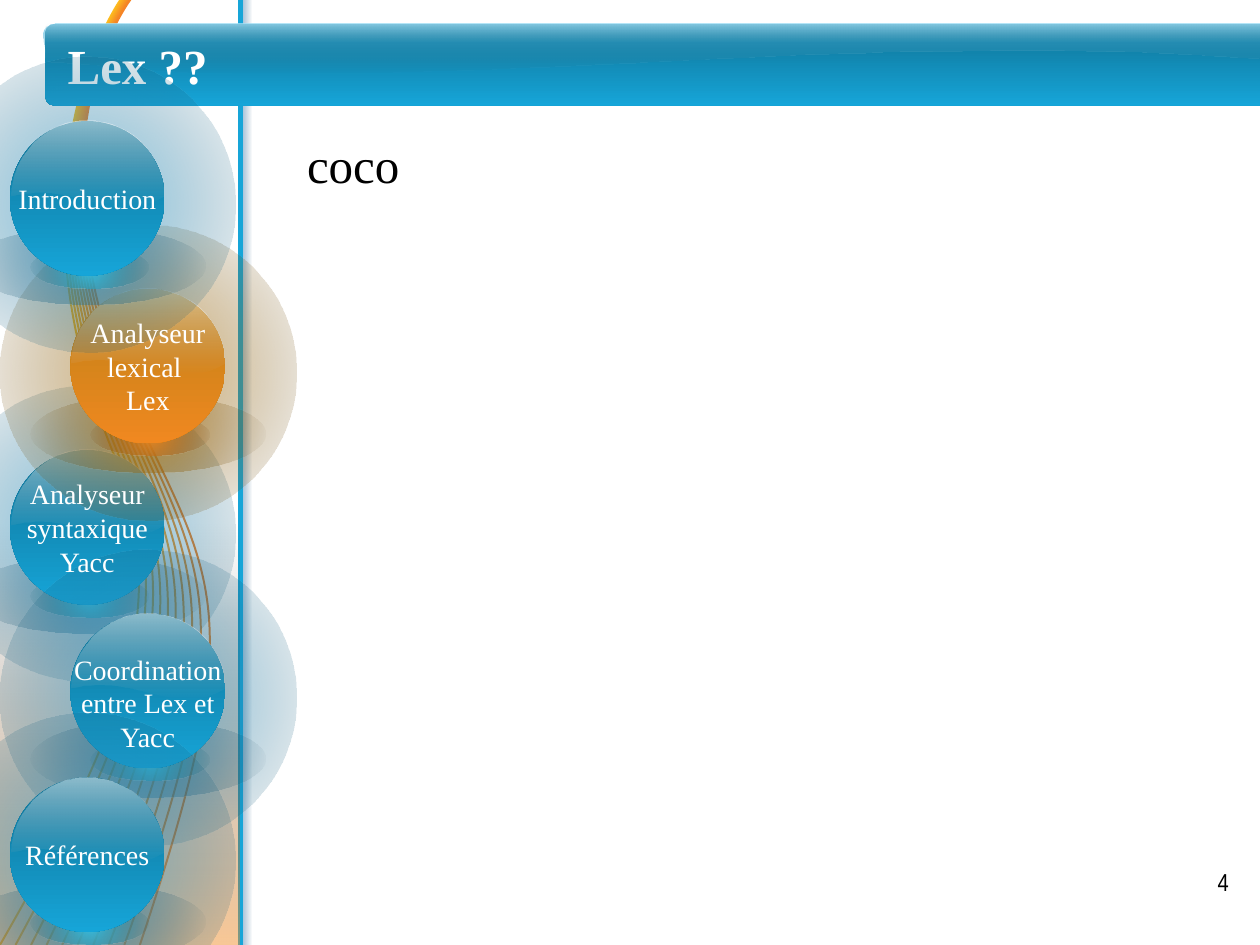
import pptx
import pptx.util
import pptx.dml.color
import pptx.enum.shapes
import pptx.enum.text
import pptx.oxml
import pptx.oxml.ns

Cm, Pt = pptx.util.Cm, pptx.util.Pt
RGB = pptx.dml.color.RGBColor
KIND = pptx.enum.shapes.MSO_SHAPE
ALIGN = pptx.enum.text.PP_ALIGN
ANCHOR = pptx.enum.text.MSO_ANCHOR
NS = pptx.oxml.ns.nsdecls("a")

WHITE, BLACK = RGB(255, 255, 255), RGB(0, 0, 0)
GRAY = RGB(0xB6, 0xB6, 0xB6)
TEAL, SKY = RGB(0x0F, 0x72, 0x95), RGB(0x16, 0xA5, 0xD8)
GOLD, FLAME = RGB(0xFE, 0xBD, 0x1E), RGB(0xF5, 0x84, 0x26)
AMBER = RGB(0xF1, 0x8E, 0x2B)
OCHRE, BROWN = RGB(0xBC, 0x81, 0x16), RGB(0x57, 0x3C, 0x0A)
ORANGE, RUST = RGB(0xF0, 0x88, 0x20), RGB(0x6F, 0x3F, 0x0F)
NAVY, INK = RGB(0x09, 0x5B, 0x9F), RGB(0x06, 0x41, 0x72)
AQUA, SLATE = RGB(0x4D, 0xC3, 0xED), RGB(0x24, 0x5A, 0x6E)

BLUE_BALL = {
    "halo": [(RGB(0x2F, 0xA4, 0xD9), 62), (RGB(0x16, 0x4C, 0x64), 0)],
    "shade": [(RGB(0x33, 0x8E, 0xB7), 61), (RGB(0x18, 0x42, 0x55), 0)],
    "glow": [(RGB(0x35, 0xC8, 0xEB), 93), (RGB(0x19, 0x5D, 0x6D), 0)],
    "ball": [(TEAL, 100), (SKY, 100)],
}
WARM_BALL = {
    "halo": [(OCHRE, 62), (BROWN, 0)],
    "shade": [(OCHRE, 61), (BROWN, 0)],
    "glow": [(ORANGE, 93), (RUST, 0)],
    "ball": [(OCHRE, 100), (ORANGE, 100)],
}
BALL = 3.12
PARTS = [("halo", -1.42, -1.3, 5.97, 5.97, None),
         ("shade", -0.81, 2.13, 4.75, 1.57, None),
         ("glow", 0.41, 2.51, 2.39, 0.86, None),
         ("ball", 0, 0, BALL, BALL, 90)]
GLOSS = [(2.72, 0.51), (2.95, 0.79), (3.1, 1.12), (3.1, 1.5),
         (2.03, 2.13), (1.32, 1.17), (0.03, 1.5),
         (0.03, 1.1), (0.2, 0.74), (0.46, 0.46),
         (0.74, 0.18), (1.12, 0), (1.55, 0),
         (2.03, 0), (2.44, 0.2), (2.72, 0.51)]
SHEEN = [(12.37, 0.76), (22.58, 0.23), (23.62, 0.81), (25.86, 0.71),
         (25.86, 0.51), (25.88, 0.33), (25.83, 0.2),
         (25.83, 0.08), (25.73, 0), (25.63, 0),
         (0.2, 0), (0.2, 0), (0.2, 0),
         (0.08, 0), (-0.03, 0.1), (-0.03, 0.2),
         (-0.05, 0.33), (0.03, 0.53), (0.03, 0.76),
         (2.08, 0.84), (2.18, 1.27), (12.37, 0.76)]
FIRST = [(2.44, -0.02), (2.44, -0.02), (0, 3.4), (2.24, 9.02),
         (3.4, 11.96), (2.82, 14.15), (0, 19.05)]
LAST = [(2.64, -0.02), (2.64, -0.02), (0.18, 3.1), (3.05, 9.02),
        (4.42, 11.86), (4.9, 12.85), (2.82, 19.05)]
STEPS = [(0.2, 2.44, 0, ["Introduction"]),
         (1.42, 5.82, 0, ["Analyseur lexical ", "Lex"]),
         (0.2, 9.07, 0, ["Analyseur syntaxique Yacc"]),
         (1.42, 12.37, 0.23, ["Coordination entre Lex et Yacc"]),
         (0.2, 15.67, 0, ["Références"])]
LABEL = {"name": "Times New Roman", "size": Pt(16)}
TITLE = {"name": "Times New Roman", "size": Pt(28), "bold": True}
BODY = {"name": "Times New Roman", "size": Pt(28)}
PAGE = {"name": "Arial Narrow", "size": Pt(14)}


def put(item, form):
    for key, val in form.items():
        setattr(item, key, val)


def blend(shape, stops, turn):
    shape.shadow.inherit = False
    shape.line.fill.background()
    shape.fill.background()
    marks = "".join(
        f'<a:gs pos="{pos}"><a:srgbClr val="{tone}"><a:alpha val="{part * 1000}"/>'
        "</a:srgbClr></a:gs>" for pos, (tone, part) in zip((0, 100000), stops))
    if turn is None:
        way = ('<a:path path="circle"><a:fillToRect l="50000" t="50000" '
               'r="50000" b="50000"/></a:path>')
    else:
        way = f'<a:lin ang="{turn * 60000}" scaled="0"/>'
    fill = pptx.oxml.parse_xml(
        f'<a:gradFill {NS} rotWithShape="1"><a:gsLst>{marks}</a:gsLst>{way}</a:gradFill>')
    old = shape._element.spPr.find(pptx.oxml.ns.qn("a:noFill"))
    old.getparent().replace(old, fill)


def block(slide, kind, box, stops, turn, round_by=None):
    shape = slide.shapes.add_shape(kind, *map(Cm, box))
    if round_by is not None:
        shape.adjustments[0] = round_by
    blend(shape, stops, turn)


def curve(slide, x, y, knots, close):
    spots = [(Cm(x + dx), Cm(y + dy)) for dx, dy in knots]
    pen = slide.shapes.build_freeform(*spots[0])
    pen.add_line_segments(spots[1:], close=close)
    shape = pen.convert_to_shape()
    shape.shadow.inherit = False
    legs = list(shape._element.spPr.iter(pptx.oxml.ns.qn("a:lnTo")))
    for i in range(0, len(legs), 3):
        bend = pptx.oxml.parse_xml(f"<a:cubicBezTo {NS}/>")
        legs[i].addprevious(bend)
        for leg in legs[i:i + 3]:
            bend.append(leg[0])
            leg.getparent().remove(leg)
    return shape


def write(shape, lines, font, tone, align, anchor):
    frame = shape.text_frame
    put(frame, {"word_wrap": True, "vertical_anchor": anchor, "text": "\n".join(lines)})
    for para in frame.paragraphs:
        para.alignment = align
        put(para.runs[0].font, font)
        para.runs[0].font.color.rgb = tone


def note(slide, box, lines, font, tone, align, anchor=ANCHOR.TOP):
    write(slide.shapes.add_textbox(*map(Cm, box)), lines, font, tone, align, anchor)


def rail(slide, x, high):
    block(slide, KIND.RECTANGLE, (x + 0.03, 0, 0.2, high), [(NAVY, 38), (INK, 0)], 0)
    line = slide.shapes.add_connector(
        pptx.enum.shapes.MSO_CONNECTOR.STRAIGHT, Cm(x), Cm(high), Cm(x), Cm(0))
    line.line.width = Pt(3)
    line.line.color.rgb = SKY
    line._element.spPr.append(pptx.oxml.parse_xml(f"<a:effectLst {NS}/>"))


def waves(slide, x, y, count=10):
    for n in range(count):
        t = n / (count - 1)
        knots = [tuple(a + (b - a) * t for a, b in zip(p, q)) for p, q in zip(FIRST, LAST)]
        wave = curve(slide, x, y, knots, False)
        wave.fill.background()
        wave.line.width = Pt(1.13)
        wave.line.color.rgb = RGB(*(round(a + (b - a) * t) for a, b in zip(GOLD, FLAME)))


def bubble(slide, x, y, tones):
    for name, dx, dy, wide, high, turn in PARTS:
        block(slide, KIND.OVAL, (x + dx, y + dy, wide, high), tones[name], turn)
    blend(curve(slide, x, y, GLOSS, True), [(WHITE, 53), (GRAY, 0)], 90)


def banner(slide, x, y, wide, text):
    block(slide, KIND.ROUNDED_RECTANGLE, (x, y, wide, 1.65),
          [(TEAL, 100), (SKY, 100)], 90, 0.12)
    blend(curve(slide, x, y, SHEEN, True), [(AQUA, 68), (SLATE, 0)], 90)
    block(slide, KIND.ROUNDED_RECTANGLE, (x, y, wide, 0.36),
          [(WHITE, 40), (GRAY, 0)], 90, 0.17)
    title = slide.shapes.title
    put(title, {"left": Cm(x + 0.2), "top": Cm(y + 0.05),
                "width": Cm(wide - 0.28), "height": Cm(1.55)})
    write(title, [text], TITLE, WHITE, ALIGN.LEFT, ANCHOR.MIDDLE)
    props = title.text_frame.paragraphs[0].runs[0]._r.rPr
    props.find(pptx.oxml.ns.qn("a:solidFill")).addnext(pptx.oxml.parse_xml(
        f'<a:effectLst {NS}><a:outerShdw dist="25400" dir="2700000">'
        '<a:srgbClr val="404040"/></a:outerShdw></a:effectLst>'))
    slide.shapes._spTree.append(title._element)


def build():
    deck = pptx.Presentation()
    put(deck, {"slide_width": Cm(25.4), "slide_height": Cm(19.05)})
    slide = deck.slides.add_slide(deck.slide_layouts[5])
    rail(slide, 4.85, 19.05)
    waves(slide, 0, 0)
    block(slide, KIND.RECTANGLE, (0, 10.52, 4.83, 8.53), [(BLACK, 0), (AMBER, 50)], 90)
    for x, y, _, _ in STEPS[2:]:
        bubble(slide, x, y, BLUE_BALL)
    banner(slide, 0.91, 0.48, 25.85, "Lex ??")
    for (x, y, _, _), tones in ((STEPS[1], WARM_BALL), (STEPS[0], BLUE_BALL)):
        bubble(slide, x, y, tones)
    note(slide, (18.21, 17.35, 6.81, 1.32), ["4"], PAGE, BLACK, ALIGN.RIGHT)
    for x, y, drop, lines in STEPS:
        note(slide, (x - 0.24, y + drop, 3.6, BALL), lines, LABEL, WHITE,
             ALIGN.CENTER, ANCHOR.MIDDLE)
    note(slide, (5.94, 2.59, 18.47, 1.45), ["coco"], BODY, BLACK, ALIGN.JUSTIFY)
    deck.save("out.pptx")


build()
